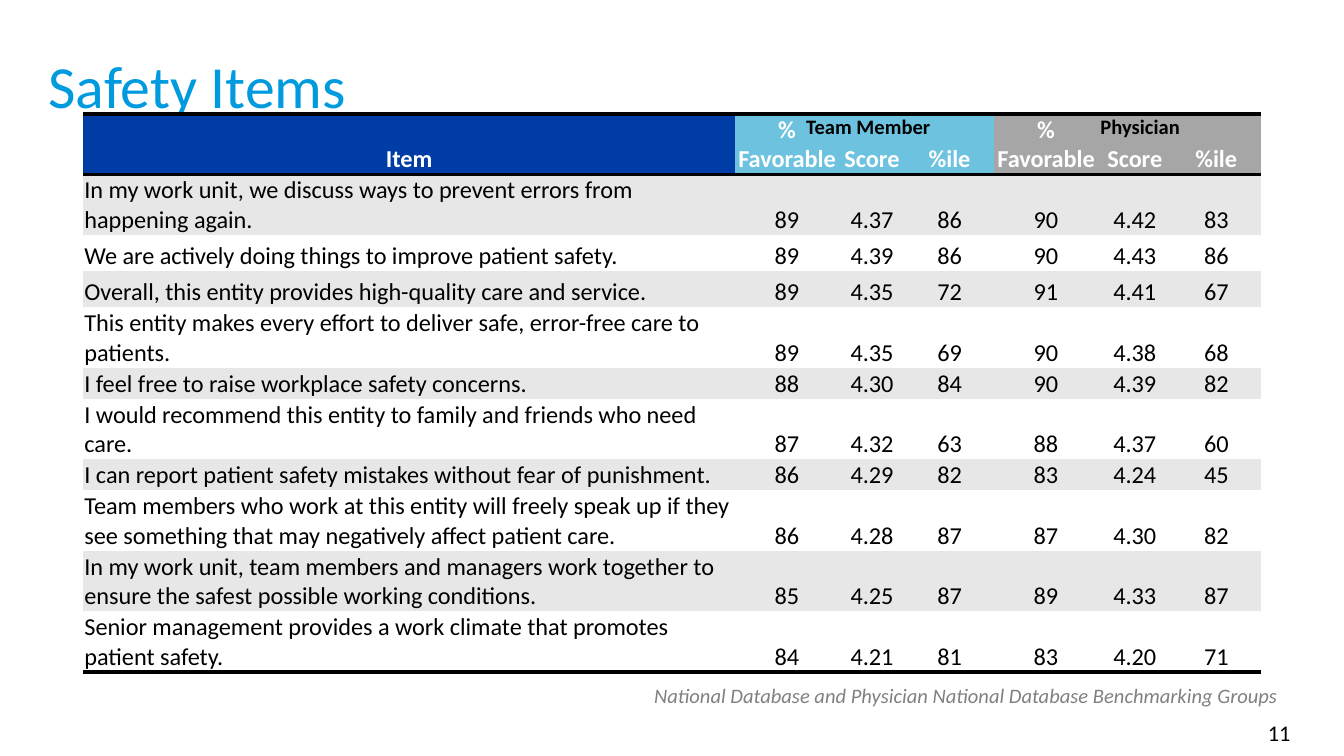
from dataclasses import dataclass

from lxml import etree
from pptx import Presentation
from pptx.dml.color import RGBColor
from pptx.enum.text import MSO_ANCHOR, MSO_AUTO_SIZE, PP_ALIGN
from pptx.oxml.ns import qn
from pptx.util import Pt

LEFT, CENTER, RIGHT = PP_ALIGN.LEFT, PP_ALIGN.CENTER, PP_ALIGN.RIGHT
MIDDLE, BOTTOM = MSO_ANCHOR.MIDDLE, MSO_ANCHOR.BOTTOM
NO_AUTOFIT, GROW = MSO_AUTO_SIZE.NONE, MSO_AUTO_SIZE.SHAPE_TO_FIT_TEXT
PLAIN_STYLE = "{2D5ABB26-0587-4C30-8999-92F81FD0307C}"


@dataclass(frozen=True)
class Theme:
    font: str = "Calibri"
    title: str = "009ADF"
    ink: str = "000000"
    white: str = "FFFFFF"
    item: str = "003CA5"
    team: str = "6DC3DF"
    physician: str = "A6A6A6"
    band: str = "E7E7E7"
    source: str = "808080"
    title_size: int = 32
    table_size: int = 13
    number_size: int = 12
    label_size: int = 11


def add_text(tf, text, size, color, align=LEFT, bold=False, italic=False):
    p = tf.paragraphs[0]
    p.alignment = align
    r = p.add_run()
    r.text = text
    r.font.name = theme.font
    r.font.size = Pt(size)
    r.font.bold = bold
    r.font.italic = italic
    r.font.color.rgb = RGBColor.from_string(color)


def add_rule(cell, side):
    ln = etree.SubElement(cell._tc.get_or_add_tcPr(), qn(f"a:{side}"), w=str(Pt(2)))
    fill = etree.SubElement(ln, qn("a:solidFill"))
    etree.SubElement(fill, qn("a:srgbClr"), val=theme.ink)


theme = Theme()
prs = Presentation()
prs.slide_width = Pt(720)
prs.slide_height = Pt(405)
s = prs.slides.add_slide(prs.slide_layouts[5])

title = s.shapes.title
title.left, title.top, title.width, title.height = Pt(18.72), Pt(19.44), Pt(694), Pt(51.84)
tf = title.text_frame
tf.vertical_anchor = MIDDLE
tf.auto_size = NO_AUTOFIT
add_text(tf, "Safety Items", theme.title_size, theme.title)

header = ("Item",) + ("% Favorable", "Score", "%ile") * 2
header_fills = [theme.item] + [theme.team] * 3 + [theme.physician] * 3
items = [
    ("In my work unit, we discuss ways to prevent errors from happening again.",
     "89", "4.37", "86", "90", "4.42", "83"),
    ("We are actively doing things to improve patient safety.",
     "89", "4.39", "86", "90", "4.43", "86"),
    ("Overall, this entity provides high-quality care and service.",
     "89", "4.35", "72", "91", "4.41", "67"),
    ("This entity makes every effort to deliver safe, error-free care to patients.",
     "89", "4.35", "69", "90", "4.38", "68"),
    ("I feel free to raise workplace safety concerns.",
     "88", "4.30", "84", "90", "4.39", "82"),
    ("I would recommend this entity to family and friends who need care.",
     "87", "4.32", "63", "88", "4.37", "60"),
    ("I can report patient safety mistakes without fear of punishment.",
     "86", "4.29", "82", "83", "4.24", "45"),
    ("Team members who work at this entity will freely speak up if they see something "
     "that may negatively affect patient care.",
     "86", "4.28", "87", "87", "4.30", "82"),
    ("In my work unit, team members and managers work together to ensure the safest "
     "possible working conditions.",
     "85", "4.25", "87", "89", "4.33", "87"),
    ("Senior management provides a work climate that promotes patient safety.",
     "84", "4.21", "81", "83", "4.20", "71"),
]
rows = [header] + items
col_widths = [349.3, 55.6, 35.5, 47.7, 55.6, 39.6, 47.7]
row_heights = [31, 31, 19.4, 19.4, 31, 16, 31, 16, 31, 31, 31]

frame = s.shapes.add_table(len(rows), len(header), Pt(44.5), Pt(61),
                           Pt(sum(col_widths)), Pt(sum(row_heights)))
table = frame.table
table.first_row = False
table.horz_banding = False
table._tbl.tblPr.find(qn("a:tableStyleId")).text = PLAIN_STYLE
for column, width in zip(table.columns, col_widths):
    column.width = Pt(width)
for row, height in zip(table.rows, row_heights):
    row.height = Pt(height)

for i, values in enumerate(rows):
    is_header = i == 0
    for j, value in enumerate(values):
        cell = table.cell(i, j)
        cell.margin_left = cell.margin_right = cell.margin_top = Pt(0.72)
        cell.margin_bottom = Pt(0)
        cell.vertical_anchor = BOTTOM
        if is_header:
            add_rule(cell, "lnT")
        if is_header or i == len(items):
            add_rule(cell, "lnB")
        band = theme.band if i % 2 else theme.white
        cell.fill.solid()
        cell.fill.fore_color.rgb = RGBColor.from_string(header_fills[j] if is_header else band)
        add_text(cell.text_frame, value, theme.table_size,
                 theme.white if is_header else theme.ink,
                 CENTER if is_header or j else LEFT, bold=is_header)

labels = [
    ("Team Member", 424.8, 57.6, 128.9, 20.9, True,
     dict(size=theme.label_size, color=theme.ink, bold=True)),
    ("Physician", 582.5, 57.6, 57.6, 20.9, True,
     dict(size=theme.label_size, color=theme.ink, bold=True)),
    ("National Database and Physician National Database Benchmarking Groups",
     343.4, 362.2, 352.8, 20.9, False,
     dict(size=theme.label_size, color=theme.source, italic=True)),
    ("11", 610.6, 381.6, 87.8, 21.6, True,
     dict(size=theme.number_size, color=theme.ink, align=RIGHT)),
]
for text, left, top, width, height, wrap, style in labels:
    sp = s.shapes.add_textbox(Pt(left), Pt(top), Pt(width), Pt(height))
    tf = sp.text_frame
    tf.word_wrap = wrap
    tf.auto_size = GROW
    add_text(tf, text, **style)

prs.save("out.pptx")
